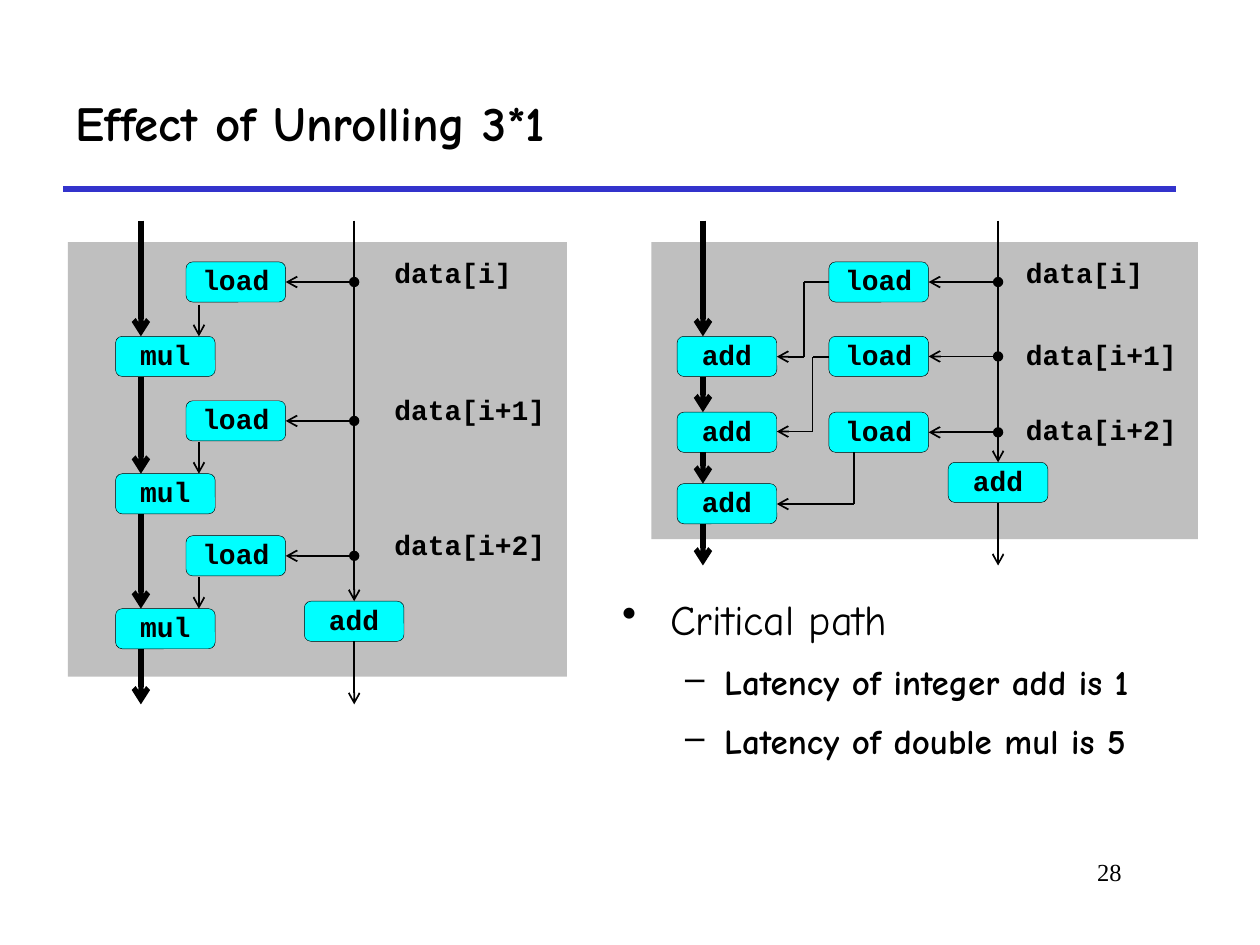
from dataclasses import dataclass
from itertools import pairwise

from lxml import etree
from pptx import Presentation
from pptx.dml.color import RGBColor
from pptx.enum.shapes import MSO_CONNECTOR, MSO_SHAPE
from pptx.enum.text import MSO_ANCHOR, MSO_AUTO_SIZE, PP_ALIGN
from pptx.oxml.ns import qn
from pptx.util import Cm, Pt

STRAIGHT = MSO_CONNECTOR.STRAIGHT
RECTANGLE, ROUNDED = MSO_SHAPE.RECTANGLE, MSO_SHAPE.ROUNDED_RECTANGLE
TOP, MIDDLE = MSO_ANCHOR.TOP, MSO_ANCHOR.MIDDLE
LEFT, CENTER, RIGHT = PP_ALIGN.LEFT, PP_ALIGN.CENTER, PP_ALIGN.RIGHT
FIT_SHAPE = MSO_AUTO_SIZE.SHAPE_TO_FIT_TEXT

BLACK, GREY, CYAN, BLUE = "000000", "BFBFBF", "00FFFF", "3333CC"
HAND, CODE, SERIF = "Comic Neue", "Courier New", "Times New Roman"
NODE_W, NODE_H = 2.01, 0.81
FLOW_TOP = 4.45
THIN, THICK = 1, 3


@dataclass(frozen=True)
class Box:
    """Left, top, width and height in centimetres."""
    left: float
    top: float
    width: float
    height: float

    def lengths(self) -> tuple:
        return Cm(self.left), Cm(self.top), Cm(self.width), Cm(self.height)


@dataclass(frozen=True)
class Graph:
    """Data flow of one unrolled loop; the lists run from first to last step."""
    panel: Box
    operation: str
    operation_left: float
    operation_tops: tuple
    load_left: float
    load_tops: tuple
    label_left: float
    label_tops: tuple
    chain_x: float
    index_x: float
    index_add_top: float
    bottom: float
    load_routes: tuple


@dataclass(frozen=True)
class Bullet:
    text: str
    level: int
    mark: str
    size: float
    bold: bool
    margin: float
    hanging: float
    before: float


def colour(value: str) -> RGBColor:
    return RGBColor.from_string(value)


def write(paragraph, text: str, *, font=CODE, size=16, bold=False,
          align=LEFT, spacing=0.9, before=0) -> None:
    run = paragraph.add_run()
    run.text = text
    run.font.name, run.font.size, run.font.bold = font, Pt(size), bold
    run.font.color.rgb = colour(BLACK)
    paragraph.alignment = align
    paragraph.line_spacing = spacing
    paragraph.space_before = Pt(before)


def text_frame(slide, box: Box, anchor=TOP):
    frame = slide.shapes.add_textbox(*box.lengths()).text_frame
    frame.word_wrap = True
    frame.vertical_anchor = anchor
    return frame


def filled(slide, kind, box: Box, fill: str):
    shape = slide.shapes.add_shape(kind, *box.lengths())
    shape.shadow.inherit = False
    shape.fill.solid()
    shape.fill.fore_color.rgb = colour(fill)
    return shape


def node(slide, text: str, left: float, top: float) -> None:
    shape = filled(slide, ROUNDED, Box(left, top, NODE_W, NODE_H), CYAN)
    shape.line.color.rgb = colour(BLACK)
    shape.line.width = Pt(0.25)
    frame = shape.text_frame
    frame.margin_left = frame.margin_right = 0
    frame.margin_top = frame.margin_bottom = 0
    frame.vertical_anchor = MIDDLE
    write(frame.paragraphs[0], text, bold=True, align=CENTER)


def line(slide, start: tuple, end: tuple, *, width=THIN, stroke=BLACK,
         head="none", tail="arrow") -> None:
    connector = slide.shapes.add_connector(STRAIGHT, *map(Cm, start + end))
    connector.line.color.rgb = colour(stroke)
    connector.line.width = Pt(width)
    outline = connector.line._get_or_add_ln()
    for tag, kind in (("a:headEnd", head), ("a:tailEnd", tail)):
        if kind != "none":
            etree.SubElement(outline, qn(tag)).set("type", kind)
    etree.SubElement(connector._element.spPr, qn("a:effectLst"))


def route(slide, points: tuple) -> None:
    """Joins the points with straight lines and puts an arrowhead on the last."""
    for start, end in pairwise(points):
        line(slide, start, end, tail="arrow" if end == points[-1] else "none")


def draw_graph(slide, graph: Graph) -> None:
    filled(slide, RECTANGLE, graph.panel, GREY).line.fill.background()
    for top in graph.load_tops:
        node(slide, "load", graph.load_left, top)
        y = top + NODE_H / 2
        line(slide, (graph.index_x, y), (graph.load_left + NODE_W, y), head="oval")
    for top in graph.operation_tops:
        node(slide, graph.operation, graph.operation_left, top)
    node(slide, "add", graph.index_x - NODE_W / 2, graph.index_add_top)

    starts = (FLOW_TOP, *(top + NODE_H for top in graph.operation_tops))
    for start, end in zip(starts, (*graph.operation_tops, graph.bottom)):
        line(slide, (graph.chain_x, start), (graph.chain_x, end), width=THICK)
    for start, end in ((FLOW_TOP, graph.index_add_top),
                       (graph.index_add_top + NODE_H, graph.bottom)):
        line(slide, (graph.index_x, start), (graph.index_x, end))
    for points in graph.load_routes:
        route(slide, points)

    for text, top in zip(("data[i]", "data[i+1]", "data[i+2]"), graph.label_tops):
        width = 3.07 if text == "data[i]" else 3.73
        frame = text_frame(slide, Box(graph.label_left, top, width, 0.86))
        frame.auto_size = FIT_SHAPE
        write(frame.paragraphs[0], text, bold=True)


def draw_bullets(slide, box: Box, bullets: tuple) -> None:
    frame = text_frame(slide, box)
    for number, bullet in enumerate(bullets):
        paragraph = frame.add_paragraph() if number else frame.paragraphs[0]
        paragraph.level = bullet.level
        properties = paragraph._p.get_or_add_pPr()
        properties.set("marL", str(Cm(bullet.margin)))
        properties.set("indent", str(-Cm(bullet.hanging)))
        etree.SubElement(properties, qn("a:buChar")).set("char", bullet.mark)
        write(paragraph, bullet.text, font=HAND, size=bullet.size,
              bold=bullet.bold, spacing=1.2, before=bullet.before)


MUL_TOPS = (6.78, 9.55, 12.27)
MUL_GRAPH = Graph(
    panel=Box(1.37, 4.88, 10.06, 8.76), operation="mul",
    operation_left=2.33, operation_tops=MUL_TOPS,
    load_left=3.75, load_tops=(5.28, 8.08, 10.8),
    label_left=7.7, label_tops=(5.11, 7.87, 10.59),
    chain_x=2.84, index_x=7.14, index_add_top=12.12, bottom=14.2,
    load_routes=tuple(((4.01, top - 0.64), (4.01, top)) for top in MUL_TOPS))
ADD_GRAPH = Graph(
    panel=Box(13.13, 4.88, 11.02, 5.99), operation="add",
    operation_left=13.65, operation_tops=(6.78, 8.31, 9.75),
    load_left=16.71, load_tops=(5.28, 6.78, 8.31),
    label_left=20.43, label_tops=(5.11, 6.76, 8.26),
    chain_x=14.17, index_x=20.12, index_add_top=9.32, bottom=11.4,
    load_routes=(
        ((16.71, 5.69), (16.21, 5.69), (16.21, 7.19), (15.66, 7.19)),
        ((16.71, 7.2), (16.38, 7.2), (16.38, 8.7), (15.66, 8.7)),
        ((17.22, 9.12), (17.22, 10.16), (15.66, 10.16))))
LATENCY = {"level": 1, "mark": "–", "size": 20, "bold": True,
           "margin": 2.06, "hanging": 0.79, "before": 5}
BULLETS = (
    Bullet("Critical path", level=0, mark="•", size=24, bold=False,
           margin=0.97, hanging=0.97, before=0),
    Bullet("Latency of integer add is 1", **LATENCY),
    Bullet("Latency of double mul is 5", **LATENCY))


def main() -> None:
    deck = Presentation()
    deck.slide_width, deck.slide_height = Cm(25.4), Cm(19.05)
    slide = deck.slides.add_slide(deck.slide_layouts[6])

    line(slide, (1.27, 3.81), (23.7, 3.81), width=THICK, stroke=BLUE, tail="none")
    title = text_frame(slide, Box(1.27, 1.27, 22.43, 2.54), MIDDLE)
    write(title.paragraphs[0], "Effect of Unrolling 3*1", font=HAND, size=28, bold=True)
    for graph in (MUL_GRAPH, ADD_GRAPH):
        draw_graph(slide, graph)
    draw_bullets(slide, Box(12.29, 11.63, 12.7, 4.57), BULLETS)
    page_number = text_frame(slide, Box(19.25, 17.15, 3.61, 1.27))
    write(page_number.paragraphs[0], "28", font=SERIF, size=14, align=RIGHT, spacing=1.0)

    deck.save("out.pptx")


if __name__ == "__main__":
    main()
